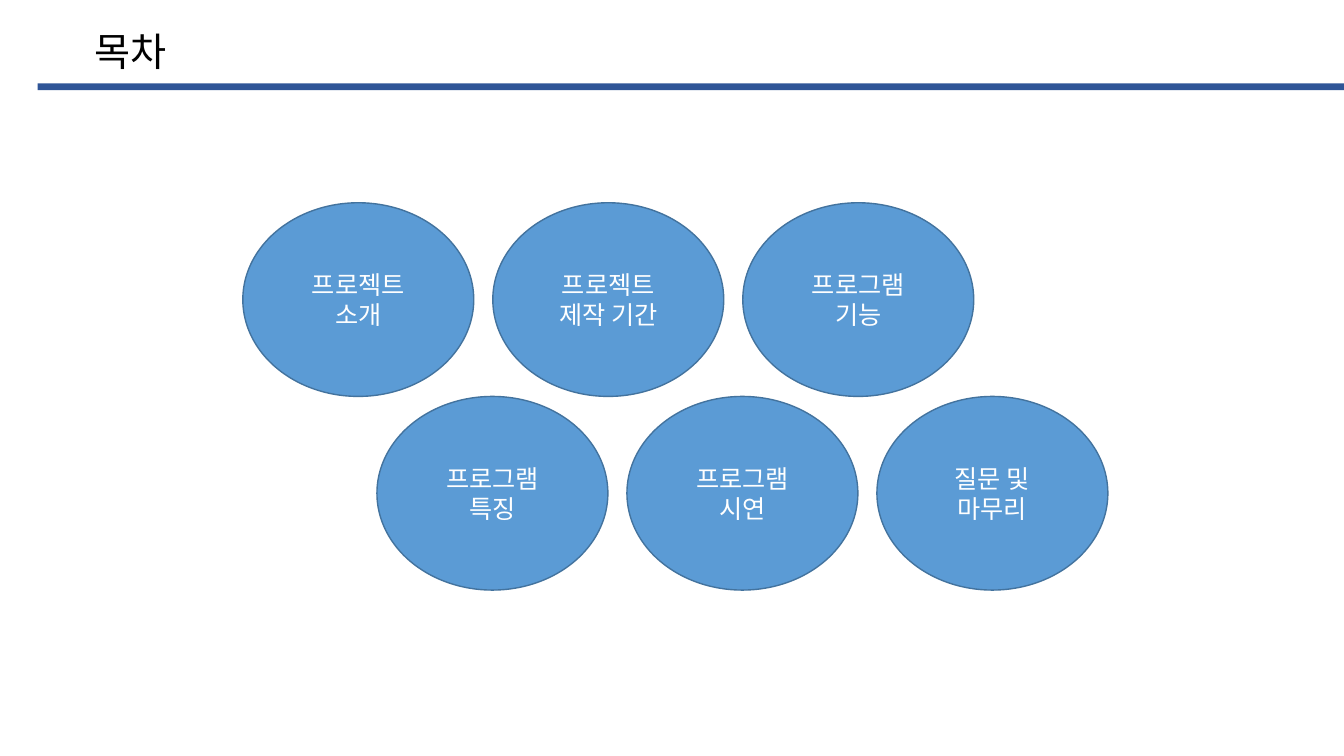
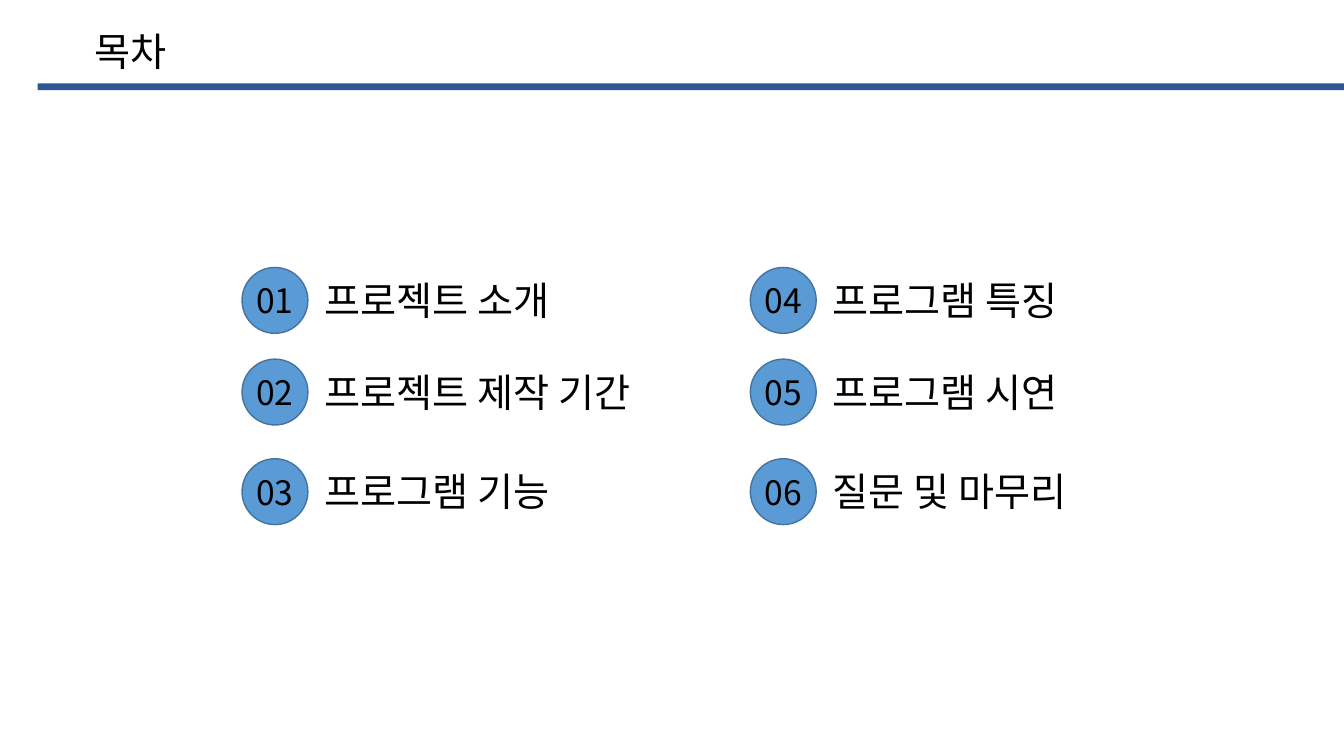
"""Build two contents slides: staggered ovals and a numbered list."""
import dataclasses

import lxml.etree
import pptx
import pptx.dml.color
import pptx.enum.shapes
import pptx.enum.text
import pptx.oxml.ns
import pptx.presentation
import pptx.shapes.autoshape
import pptx.slide
import pptx.text.text
import pptx.util

Cm = pptx.util.Cm
SHAPE = pptx.enum.shapes.MSO_SHAPE
ALIGN = pptx.enum.text.PP_ALIGN
ANCHOR = pptx.enum.text.MSO_ANCHOR

FONT = "Noto Sans CJK KR"
COLORS = {
    "bar": "2F5597",
    "oval": "5B9BD5",
    "outline": "43739E",
    "light": "FFFFFF",
    "dark": "000000",
}


@dataclasses.dataclass(frozen=True)
class Topic:
    lines: tuple[str, str]
    label_width: float

    @property
    def label(self) -> str:
        return " ".join(self.lines)


TOPICS = [
    Topic(("프로젝트", "소개"), 6.86),
    Topic(("프로젝트", "제작 기간"), 9.19),
    Topic(("프로그램", "기능"), 6.86),
    Topic(("프로그램", "특징"), 6.86),
    Topic(("프로그램", "시연"), 6.86),
    Topic(("질문 및", "마무리"), 7.21),
]
PER_GROUP = 3

OVAL_LEFT, OVAL_TOP = 6.12, 5.11
OVAL_WIDTH, OVAL_HEIGHT = 5.82, 4.88
OVAL_PITCH, ROW_SHIFT = 6.3, 3.38

LIST_LEFT, COLUMN_PITCH = 6.1, 12.81
LIST_TOPS = (6.74, 9.05, 11.56)
BADGE_SIZE = 1.66
LABEL_DX, LABEL_DY, LABEL_HEIGHT = 1.83, 0.1, 1.45


def rgb(name: str) -> pptx.dml.color.RGBColor:
    return pptx.dml.color.RGBColor.from_string(COLORS[name])


def add_run(p: pptx.text.text._Paragraph, text: str, size: float, color: str) -> None:
    r = p.add_run()
    r.text = text
    r.font.size = pptx.util.Pt(size)
    r.font.color.rgb = rgb(color)
    r.font.name = FONT
    lxml.etree.SubElement(
        r._r.get_or_add_rPr(), pptx.oxml.ns.qn("a:ea"), typeface=FONT
    )


def write_line(tf: pptx.text.text.TextFrame, text: str) -> None:
    tf.word_wrap = False
    tf.auto_size = pptx.enum.text.MSO_AUTO_SIZE.SHAPE_TO_FIT_TEXT
    tf.vertical_anchor = ANCHOR.TOP
    p = tf.paragraphs[0]
    p.alignment = ALIGN.LEFT
    add_run(p, text, 28, "dark")


def add_oval(
    s: pptx.slide.Slide, left: float, top: float, width: float, height: float
) -> pptx.shapes.autoshape.Shape:
    sp = s.shapes.add_shape(SHAPE.OVAL, Cm(left), Cm(top), Cm(width), Cm(height))
    sp.shadow.inherit = False
    sp.fill.solid()
    sp.fill.fore_color.rgb = rgb("oval")
    sp.line.color.rgb = rgb("outline")
    sp.line.width = pptx.util.Pt(1)
    sp.text_frame.vertical_anchor = ANCHOR.MIDDLE
    sp.text_frame.paragraphs[0].alignment = ALIGN.CENTER
    return sp


def add_titled_slide(prs: pptx.presentation.Presentation, title: str) -> pptx.slide.Slide:
    s = prs.slides.add_slide(prs.slide_layouts.get_by_name("Title Only"))
    sp = s.shapes.title
    sp.left, sp.top, sp.width, sp.height = Cm(2.13), Cm(0.56), Cm(2.51), Cm(1.45)
    write_line(sp.text_frame, title)
    bar = s.shapes.add_shape(SHAPE.RECTANGLE, Cm(0.95), Cm(2.1), Cm(32.92), Cm(0.17))
    bar.shadow.inherit = False
    bar.fill.solid()
    bar.fill.fore_color.rgb = rgb("bar")
    bar.line.fill.background()
    return s


def add_topic_oval(s: pptx.slide.Slide, index: int, topic: Topic) -> None:
    row, column = divmod(index, PER_GROUP)
    left = OVAL_LEFT + column * OVAL_PITCH + row * ROW_SHIFT
    top = OVAL_TOP + row * OVAL_HEIGHT
    sp = add_oval(s, left, top, OVAL_WIDTH, OVAL_HEIGHT)
    p = sp.text_frame.paragraphs[0]
    first, second = topic.lines
    add_run(p, first, 18, "light")
    p.add_line_break()
    add_run(p, second, 18, "light")


def add_topic_entry(s: pptx.slide.Slide, index: int, topic: Topic) -> None:
    column, row = divmod(index, PER_GROUP)
    left = LIST_LEFT + column * COLUMN_PITCH
    top = LIST_TOPS[row]
    badge = add_oval(s, left, top, BADGE_SIZE, BADGE_SIZE)
    tf = badge.text_frame
    tf.word_wrap = False
    tf.margin_left = tf.margin_right = tf.margin_top = tf.margin_bottom = 0
    add_run(tf.paragraphs[0], f"{index + 1:02d}", 24, "dark")
    label = s.shapes.add_textbox(
        Cm(left + LABEL_DX), Cm(top + LABEL_DY), Cm(topic.label_width), Cm(LABEL_HEIGHT)
    )
    write_line(label.text_frame, topic.label)


def main() -> None:
    prs = pptx.Presentation()
    prs.slide_width, prs.slide_height = Cm(33.87), Cm(19.05)
    for add_topic in (add_topic_oval, add_topic_entry):
        s = add_titled_slide(prs, "목차")
        for index, topic in enumerate(TOPICS):
            add_topic(s, index, topic)
    prs.save("out.pptx")


if __name__ == "__main__":
    main()
